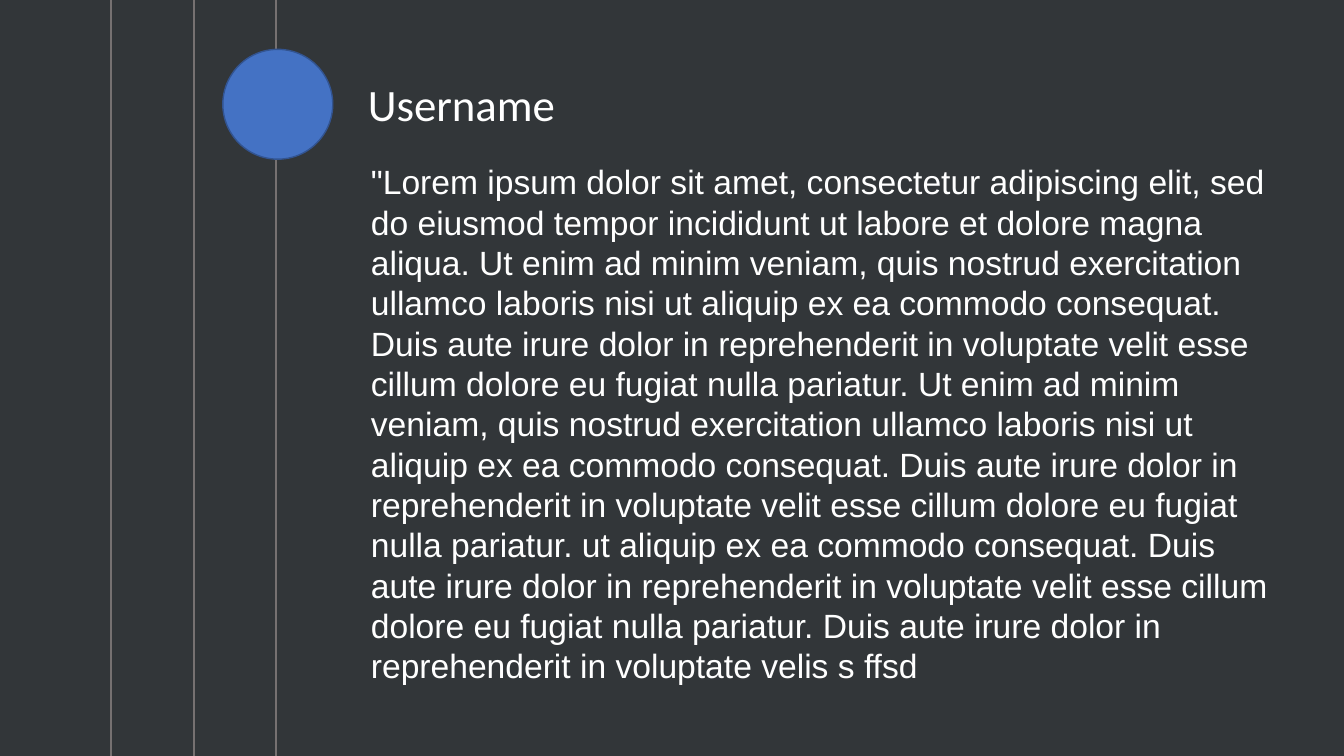
import pptx
import pptx.dml.color
import pptx.enum.shapes
import pptx.enum.text
import pptx.oxml
import pptx.util

RGBColor = pptx.dml.color.RGBColor
CHARCOAL = RGBColor(0x32, 0x36, 0x39)
BLUE = RGBColor(0x44, 0x72, 0xC4)
DARK_BLUE = RGBColor(0x32, 0x54, 0x91)
GRAY = RGBColor(0x76, 0x71, 0x71)
WHITE = RGBColor(0xFF, 0xFF, 0xFF)

USERNAME = "Username"
QUOTE = (
    '"Lorem ipsum dolor sit amet, consectetur adipiscing elit, sed do eiusmod tempor '
    "incididunt ut labore et dolore magna aliqua. Ut enim ad minim veniam, quis nostrud "
    "exercitation ullamco laboris nisi ut aliquip ex ea commodo consequat. Duis aute irure "
    "dolor in reprehenderit in voluptate velit esse cillum dolore eu fugiat nulla pariatur. "
    "Ut enim ad minim veniam, quis nostrud exercitation ullamco laboris nisi ut aliquip ex ea "
    "commodo consequat. Duis aute irure dolor in reprehenderit in voluptate velit esse cillum "
    "dolore eu fugiat nulla pariatur. ut aliquip ex ea commodo consequat. Duis aute irure dolor "
    "in reprehenderit in voluptate velit esse cillum dolore eu fugiat nulla pariatur. Duis aute "
    "irure dolor in reprehenderit in voluptate velis s ffsd"
)

SLIDE_WIDTH = pptx.util.Inches(13.33)
SLIDE_HEIGHT = pptx.util.Inches(7.5)

BACKDROP_PERCENT = (-1.58, -2, 102.55, 103.47)
AVATAR_PERCENT = (16.58, 6.53, 8.18, 14.53)
TEXTS = [
    (QUOTE, (26.86, 20.67, 69.02, 71.33), "Arial", 24),
    (USERNAME, (26.63, 9.47, 57.69, 8.53), "Calibri", 32),
]
RAIL_COUNT = 3
RAIL_START, RAIL_STEP = 8.27, 6.15
RAIL_TOP, RAIL_BOTTOM = -4.2, 109.1


def across(percent):
    return round(SLIDE_WIDTH * percent / 100)


def down(percent):
    return round(SLIDE_HEIGHT * percent / 100)


def place(box):
    left, top, width, height = box
    return across(left), down(top), across(width), down(height)


def add_filled_shape(slide, kind, box, fill):
    shape = slide.shapes.add_shape(kind, *place(box))
    shape.shadow.inherit = False
    shape.fill.solid()
    shape.fill.fore_color.rgb = fill
    shape.line.color.rgb = DARK_BLUE
    shape.line.width = pptx.util.Pt(1)


def add_text(slide, text, box, font_name, size):
    frame = slide.shapes.add_textbox(*place(box)).text_frame
    frame.word_wrap = True
    frame.auto_size = pptx.enum.text.MSO_AUTO_SIZE.SHAPE_TO_FIT_TEXT
    run = frame.paragraphs[0].add_run()
    run.text = text
    run.font.name = font_name
    run.font.size = pptx.util.Pt(size)
    run.font.color.rgb = WHITE


def add_rail(slide, column):
    x = across(RAIL_START + column * RAIL_STEP)
    rail = slide.shapes.add_connector(
        pptx.enum.shapes.MSO_CONNECTOR.STRAIGHT, x, down(RAIL_TOP), x, down(RAIL_BOTTOM)
    )
    rail.line.color.rgb = GRAY
    rail.line.width = pptx.util.Pt(1.5)
    properties = rail._element.spPr
    properties.append(properties.makeelement(pptx.oxml.ns.qn("a:effectLst"), {}))


def main():
    presentation = pptx.Presentation()
    presentation.slide_width = SLIDE_WIDTH
    presentation.slide_height = SLIDE_HEIGHT
    slide = presentation.slides.add_slide(presentation.slide_layouts[6])
    kinds = pptx.enum.shapes.MSO_SHAPE
    add_filled_shape(slide, kinds.RECTANGLE, BACKDROP_PERCENT, CHARCOAL)
    for text in TEXTS:
        add_text(slide, *text)
    for column in range(RAIL_COUNT):
        add_rail(slide, column)
    add_filled_shape(slide, kinds.OVAL, AVATAR_PERCENT, BLUE)
    presentation.save("out.pptx")


if __name__ == "__main__":
    main()
